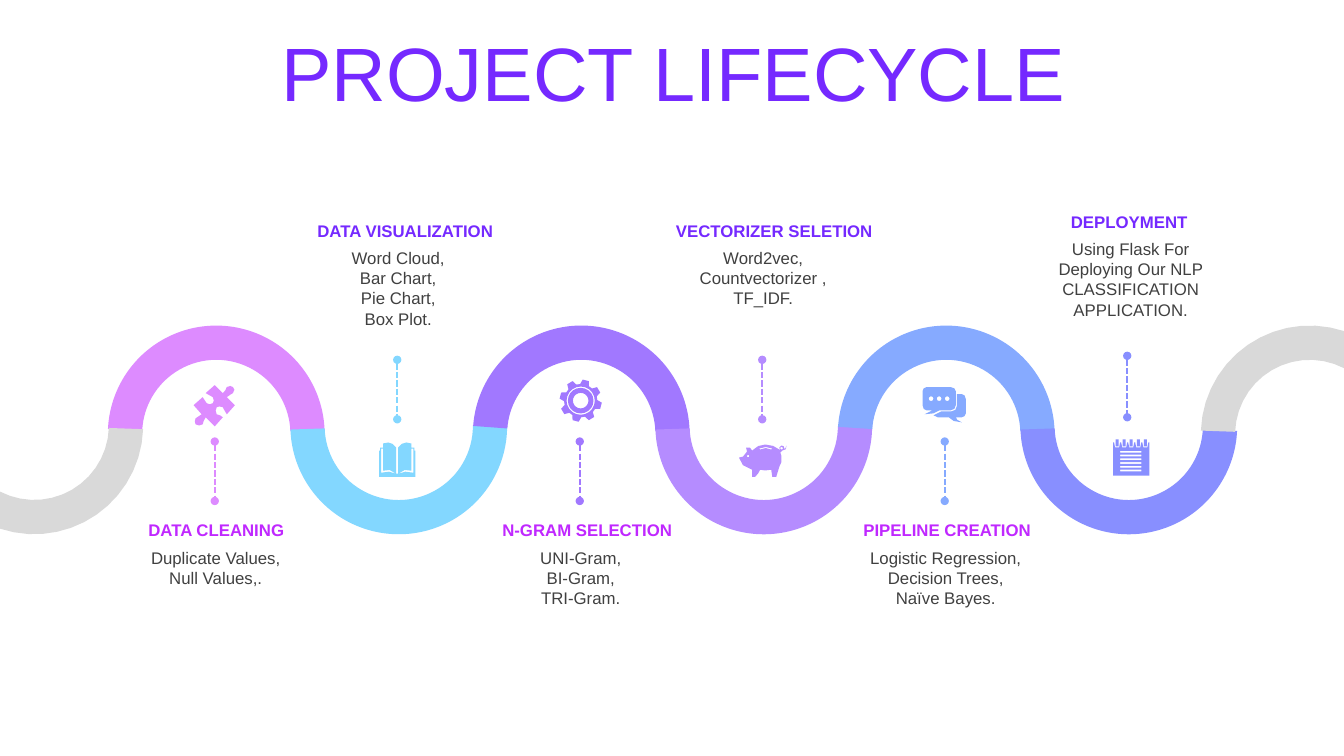
from dataclasses import dataclass
from math import cos, radians, sin

from lxml.etree import SubElement
from pptx import Presentation
from pptx.dml.color import RGBColor
from pptx.enum.dml import MSO_LINE
from pptx.enum.shapes import MSO_CONNECTOR, MSO_SHAPE
from pptx.enum.text import MSO_ANCHOR, MSO_AUTO_SIZE, PP_ALIGN
from pptx.oxml.ns import qn
from pptx.util import Inches, Pt

PURPLE, MAGENTA, DARK, GREY = "7529FF", "C028FF", "404040", "D9D9D9"
STEP = 1.81
OUTER, INNER = 1.08, 0.74


@dataclass
class Stage:
    heading: str
    details: str
    color: str
    arc_start: float
    heading_left: float
    heading_width: float
    heading_top: float
    line_top: float
    line_bottom: float
    details_width: float = 1.88


STAGES = [
    Stage("DATA CLEANING", "Duplicate Values,\nNull Values,.", "DD8BFF",
          109.58, 1.2, 1.89, 5.11, 4.38, 4.97),
    Stage("DATA VISUALIZATION", "Word Cloud,\nBar Chart,\nPie Chart,\nBox Plot.", "83D7FF",
          107.75, 3.01, 2.02, 2.14, 3.57, 4.16),
    Stage("N-GRAM SELECTION", "UNI-Gram,\nBI-Gram,\nTRI-Gram.", "A178FF",
          110.53, 4.81, 2.03, 5.11, 4.38, 4.97),
    Stage("VECTORIZER SELETION", "Word2vec,\nCountvectorizer ,\nTF_IDF.", "B58CFF",
          108.05, 6.53, 2.3, 2.14, 3.57, 4.16),
    Stage("PIPELINE CREATION", "Logistic Regression,\nDecision Trees,\nNaïve Bayes.", "86AAFF",
          110.26, 8.33, 2.13, 5.11, 4.38, 4.97),
    Stage("DEPLOYMENT", "Using Flask For Deploying Our NLP CLASSIFICATION APPLICATION.", "888FFF",
          109.61, 10.23, 1.94, 2.05, 3.53, 4.14, 1.93),
]


def rgb(color):
    return RGBColor.from_string(color)


def paint(shape, color):
    shape.shadow.inherit = False
    shape.fill.solid()
    shape.fill.fore_color.rgb = rgb(color)
    shape.line.fill.background()


def add_text(page, text, left, top, width, height, size, color, bold=False, margin=0.1):
    box = page.shapes.add_textbox(Inches(left), Inches(top), Inches(width), Inches(height))
    frame = box.text_frame
    frame.text = text
    frame.word_wrap = True
    frame.auto_size = MSO_AUTO_SIZE.SHAPE_TO_FIT_TEXT
    frame.margin_left = frame.margin_right = Inches(margin)
    for para in frame.paragraphs:
        para.alignment = PP_ALIGN.CENTER
        for span in para.runs:
            span.font.name = "Arial"
            span.font.size = Pt(size)
            span.font.bold = bold
            span.font.color.rgb = rgb(color)
    return frame


def add_title(page, text):
    frame = add_text(page, text, 0.35, 0.37, 12.66, 0.79, 54, PURPLE)
    frame.auto_size = MSO_AUTO_SIZE.NONE
    frame.vertical_anchor = MSO_ANCHOR.MIDDLE
    frame.paragraphs[0].line_spacing = 0.9
    frame.paragraphs[0].space_before = Pt(10)


def add_dotted_line(page, x, top, bottom, color):
    line = page.shapes.add_connector(MSO_CONNECTOR.STRAIGHT, Inches(x), Inches(top),
                                     Inches(x), Inches(bottom))
    line.line.color.rgb = rgb(color)
    line.line.width = Pt(1.5)
    line.line.dash_style = MSO_LINE.SQUARE_DOT
    outline = line.line._get_or_add_ln()
    for end in ("a:headEnd", "a:tailEnd"):
        SubElement(outline, qn(end), type="oval")
    SubElement(line._element.spPr, qn("a:effectLst"))


def add_stage(page, index, stage):
    above = index % 2 == 1
    arc = page.shapes.add_shape(MSO_SHAPE.BLOCK_ARC, Inches(1.07 + STEP * index),
                                Inches(3.15 if above else 3.23), Inches(2.15), Inches(2.15))
    arc.rotation = 180 if above else 0
    for position, value in enumerate((stage.arc_start, 214.84, 0.158)):
        arc.adjustments[position] = value
    paint(arc, stage.color)
    rows = stage.details.count("\n") + 1
    add_text(page, stage.details, 1.2 + STEP * index, stage.heading_top + 0.27,
             stage.details_width, 0.1 + 0.2 * rows, 12, DARK)
    add_text(page, stage.heading, stage.heading_left, stage.heading_top, stage.heading_width,
             0.3, 12, PURPLE if above else MAGENTA, True, 0.12)
    add_dotted_line(page, 2.13 + STEP * index, stage.line_top, stage.line_bottom, stage.color)


def add_outline(page, contours, color):
    """Draw closed contours, in inches, as one shape; nested contours become holes."""
    builder = None
    for contour in contours:
        points = [(Inches(x), Inches(y)) for x, y in contour]
        if builder is None:
            builder = page.shapes.build_freeform(*points[0], scale=1.0)
        else:
            builder.move_to(*points[0])
        builder.add_line_segments(points[1:], close=True)
    paint(builder.convert_to_shape(), color)


def polar(x, y, radius, angle):
    return x + radius * cos(radians(angle)), y + radius * sin(radians(angle))


def arc_points(x, y, radius, start, end, count):
    return [polar(x, y, radius, start + (end - start) * n / count) for n in range(count + 1)]


def circle(x, y, radius, count=8):
    return arc_points(x, y, radius, 0, 360, count)[:-1]


def trace(*steps):
    """Join points; a step of six numbers is a cubic curve, one of two a straight line."""
    points = []
    for step in steps:
        if len(step) == 6:
            x0, y0 = points[-1]
            x1, y1, x2, y2, x3, y3 = step
            points.append(((x0 + 3 * x1 + 3 * x2 + x3) / 8, (y0 + 3 * y1 + 3 * y2 + y3) / 8))
        points.append(step[-2:])
    return points


def road_end(x, y, turn):
    return [arc_points(x, y, OUTER, turn + 2, turn + 108.4, 14)
            + arc_points(x, y, INNER, turn + 117.3, turn + 2, 14)]


def puzzle():
    return [trace(
        (2.31, 3.84), (2.33, 3.85, 2.33, 3.88, 2.31, 3.9), (2.3, 3.92, 2.27, 3.91, 2.25, 3.94),
        (2.33, 4.02), (2.25, 4.11), (2.22, 4.08, 2.23, 4.06, 2.21, 4.04),
        (2.19, 4.03, 2.16, 4.03, 2.15, 4.04), (2.14, 4.06, 2.13, 4.09, 2.15, 4.11),
        (2.18, 4.13, 2.19, 4.11, 2.21, 4.14), (2.13, 4.23), (2.04, 4.14),
        (2.01, 4.17, 2.03, 4.18, 2.01, 4.21), (1.99, 4.23, 1.96, 4.22, 1.94, 4.21),
        (1.93, 4.19, 1.93, 4.17, 1.94, 4.15), (1.96, 4.12, 1.98, 4.14, 2, 4.11),
        (1.92, 4.02), (2.01, 3.94), (2.04, 3.96, 2.02, 3.98, 2.05, 4),
        (2.07, 4.02, 2.09, 4.01, 2.11, 4), (2.12, 3.99, 2.13, 3.96, 2.11, 3.94),
        (2.08, 3.91, 2.07, 3.93, 2.04, 3.9), (2.13, 3.82), (2.21, 3.9),
        (2.24, 3.88, 2.23, 3.87, 2.25, 3.84), (2.27, 3.82, 2.3, 3.83, 2.31, 3.84))]


def book():
    cover = trace((3.93, 4.44), (3.91, 4.41, 3.88, 4.39, 3.85, 4.39), (3.8, 4.4),
                  (3.8, 4.44), (3.77, 4.44), (3.77, 4.47), (3.76, 4.47), (3.76, 4.73),
                  (3.94, 4.73), (3.94, 4.7), (3.93, 4.7))
    margin = trace((3.78, 4.45), (3.8, 4.45), (3.8, 4.67), (3.84, 4.65, 3.89, 4.66, 3.93, 4.7),
                   (3.88, 4.68, 3.84, 4.67, 3.78, 4.69))
    left = [cover, margin]
    return left + [[(2 * 3.94 - x, y) for x, y in contour] for contour in left]


def gear():
    x, y = 5.76, 3.975
    teeth = [polar(x, y, radius, -76 + 45 * tooth + offset) for tooth in range(8)
             for radius, offset in ((0.165, -16), (0.21, -8.5), (0.21, 8.5), (0.165, 16))]
    return [teeth] + [circle(x, y, radius, 20) for radius in (0.14, 0.127, 0.077)]


def pig():
    body = trace(
        (7.59, 4.41), (7.64, 4.41, 7.7, 4.43, 7.73, 4.46), (7.74, 4.48), (7.73, 4.44),
        (7.75, 4.42), (7.77, 4.42, 7.78, 4.43, 7.78, 4.45), (7.77, 4.46), (7.79, 4.45), (7.8, 4.42),
        (7.81, 4.45, 7.79, 4.47, 7.76, 4.47), (7.74, 4.49), (7.75, 4.52),
        (7.76, 4.56, 7.75, 4.61, 7.73, 4.63), (7.7, 4.73), (7.66, 4.73), (7.65, 4.66),
        (7.61, 4.67, 7.56, 4.67, 7.54, 4.66), (7.53, 4.69, 7.51, 4.71, 7.49, 4.73), (7.46, 4.73),
        (7.46, 4.66), (7.41, 4.63, 7.31, 4.61, 7.33, 4.54), (7.37, 4.53), (7.41, 4.48),
        (7.4, 4.44), (7.44, 4.42, 7.44, 4.45, 7.46, 4.47), (7.49, 4.43, 7.55, 4.41, 7.59, 4.41))
    slot = trace((7.53, 4.45), (7.54, 4.46), (7.57, 4.44, 7.62, 4.44, 7.65, 4.46), (7.66, 4.45),
                 (7.62, 4.43, 7.57, 4.43, 7.53, 4.45))
    return [body, slot, circle(7.42, 4.525, 0.012), circle(7.752, 4.447, 0.013)]


def chat():
    front = trace((9.19, 3.84), (9.43, 3.84), (9.46, 3.84, 9.48, 3.86, 9.48, 3.88), (9.48, 4.02),
                  (9.48, 4.05, 9.46, 4.07, 9.43, 4.07), (9.32, 4.07), (9.27, 4.1, 9.25, 4.11, 9.17, 4.11),
                  (9.25, 4.07), (9.19, 4.07), (9.17, 4.07, 9.15, 4.05, 9.15, 4.02),
                  (9.15, 3.88), (9.15, 3.86, 9.17, 3.84, 9.19, 3.84))
    back = trace((9.49, 3.91), (9.54, 3.91), (9.56, 3.91, 9.58, 3.93, 9.58, 3.96), (9.58, 4.1),
                 (9.58, 4.12, 9.56, 4.14, 9.54, 4.14), (9.48, 4.14), (9.49, 4.16, 9.49, 4.17, 9.54, 4.19),
                 (9.46, 4.18, 9.45, 4.18, 9.41, 4.14), (9.3, 4.14), (9.26, 4.12), (9.34, 4.08),
                 (9.44, 4.08), (9.47, 4.08, 9.49, 4.06, 9.49, 4.03))
    return [front, back] + [circle(9.235 + 0.08 * dot, 3.955, 0.024) for dot in range(3)]


def rectangle(left, top, right, bottom):
    return [(left, top), (right, top), (right, bottom), (left, bottom)]


def notepad():
    rings = [11.08 + 0.07 * ring for ring in range(5)]
    notches = [(x + dx, y) for x in rings
               for dx, y in ((-0.03, 4.39), (-0.02, 4.44), (0.02, 4.44), (0.03, 4.39))]
    sheet = [(11.04, 4.39)] + notches + [(11.4, 4.39), (11.4, 4.72), (11.04, 4.72)]
    bindings = [rectangle(x - 0.015, 4.36, x + 0.015, 4.43) for x in rings]
    rows = [4.475 + 0.037 * row for row in range(6)]
    return [sheet] + bindings + [rectangle(11.11, y, 11.32, y + 0.017) for y in rows]


def main():
    deck = Presentation()
    deck.slide_width, deck.slide_height = Inches(13.33), Inches(7.5)
    page = deck.slides.add_slide(deck.slide_layouts[6])
    add_title(page, "PROJECT LIFECYCLE")
    icons = (puzzle, book, gear, pig, chat, notepad)
    for index, (stage, icon) in enumerate(zip(STAGES, icons)):
        add_stage(page, index, stage)
        add_outline(page, icon(), stage.color)
    add_outline(page, road_end(0.34, 4.22, 0), GREY)
    add_outline(page, road_end(12.99, 4.31, 180), GREY)
    deck.save("out.pptx")


if __name__ == "__main__":
    main()
